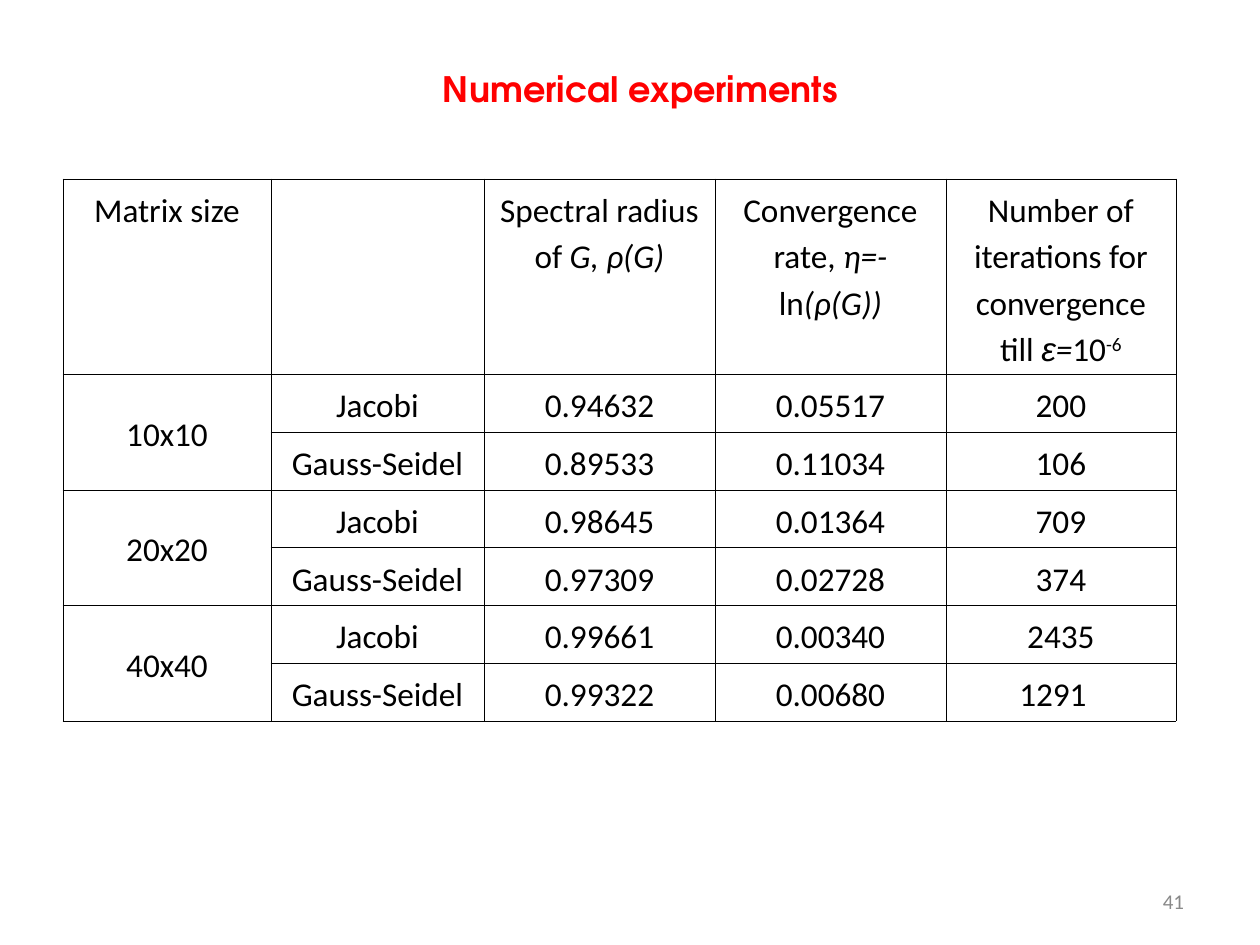
import pptx
import pptx.dml.color
import pptx.enum.text
import pptx.oxml
import pptx.oxml.ns
import pptx.util

PX = 914400 / 126
ALIGN = pptx.enum.text.PP_ALIGN
ANCHOR = pptx.enum.text.MSO_ANCHOR
BODY = {"size": pptx.util.Pt(19), "name": "Calibri"}
ITALIC = {"italic": True}
COLUMNS = [208, 213, 231, 231, 230]
HEADER_HEIGHT, ROW_HEIGHT = 184, 45
HEADINGS = [
    [("Matrix size", {})],
    [],
    [("Spectral radius of ", {}), ("G, ρ(G)", ITALIC)],
    [("Convergence rate, ", {}), ("η=-", ITALIC), ("ln", {}), ("(ρ(G))", ITALIC)],
    [("Number of iterations for convergence till ", {}),
     ("ε", {"italic": True, "name": "Arial"}), ("=", ITALIC), ("10", {}),
     ("-6", {"baseline": 30000})],
]
EXPERIMENTS = {
    "10x10": [("Jacobi", "0.94632", "0.05517", "200"),
              ("Gauss-Seidel", "0.89533", "0.11034", "106")],
    "20x20": [("Jacobi", "0.98645", "0.01364", "709"),
              ("Gauss-Seidel", "0.97309", "0.02728", "374")],
    "40x40": [("Jacobi", "0.99661", "0.00340", "2435"),
              ("Gauss-Seidel", "0.99322", "0.00680", "1291")],
}


def px(length):
    return pptx.util.Emu(round(length * PX))


def rgb(value):
    return pptx.dml.color.RGBColor.from_string(value)


def set_all(target, values):
    for key, value in values.items():
        setattr(target, key, value)


def set_margins(target, horizontal, vertical):
    set_all(target, {"margin_left": px(horizontal), "margin_right": px(horizontal),
                     "margin_top": px(vertical), "margin_bottom": px(vertical)})


def add_run(paragraph, words, values, color="000000"):
    run = paragraph.add_run()
    run.text = words
    run.font.color.rgb = rgb(color)
    values = dict(values)
    baseline = values.pop("baseline", None)
    set_all(run.font, values)
    if baseline:
        run.font._element.set("baseline", str(baseline))


def add_line(slide, box, words, values, color, align, anchor, margins):
    frame = slide.shapes.add_textbox(*map(px, box)).text_frame
    set_all(frame, {"word_wrap": True, "vertical_anchor": anchor})
    set_margins(frame, *margins)
    frame.paragraphs[0].alignment = align
    add_run(frame.paragraphs[0], words, values, color)


def add_title(slide, box):
    font = {"size": pptx.util.Pt(20), "name": "TeX Gyre Adventor", "bold": True}
    add_line(slide, box, "Numerical experiments", font, "FF0000",
             ALIGN.CENTER, ANCHOR.TOP, (0, 0))


def add_page_number(slide, box):
    font = {"size": pptx.util.Pt(12), "name": "Calibri"}
    add_line(slide, box, "41", font, "898989", ALIGN.RIGHT, ANCHOR.MIDDLE, (13, 6))


def style_cell(cell):
    properties = cell._tc.get_or_add_tcPr()
    for side in ("lnL", "lnR", "lnT", "lnB"):
        properties.append(pptx.oxml.parse_xml(
            f'<a:{side} {pptx.oxml.ns.nsdecls("a")} w="{pptx.util.Pt(0.45)}">'
            '<a:solidFill><a:srgbClr val="000000"/></a:solidFill>'
            f'</a:{side}>'))
    cell.fill.background()
    set_margins(cell, 10, 6)
    set_all(cell.text_frame.paragraphs[0], {
        "alignment": ALIGN.CENTER, "line_spacing": 1.15,
        "space_after": pptx.util.Pt(10)})


def write_cell(cell, runs):
    for words, values in runs:
        add_run(cell.text_frame.paragraphs[0], words, {**BODY, **values})


def add_results(slide, left, top):
    heights = [HEADER_HEIGHT] + [ROW_HEIGHT] * sum(map(len, EXPERIMENTS.values()))
    table = slide.shapes.add_table(
        len(heights), len(COLUMNS), px(left), px(top),
        px(sum(COLUMNS)), px(sum(heights))).table
    set_all(table, {"first_row": False, "horz_banding": False})
    for column, width in zip(table.columns, COLUMNS):
        column.width = px(width)
    for row, height in zip(table.rows, heights):
        row.height = px(height)
    for cell in table.iter_cells():
        style_cell(cell)
    for column, runs in enumerate(HEADINGS):
        write_cell(table.cell(0, column), runs)
    row = 1
    for size, methods in EXPERIMENTS.items():
        size_cell = table.cell(row, 0)
        size_cell.merge(table.cell(row + len(methods) - 1, 0))
        size_cell.vertical_anchor = ANCHOR.MIDDLE
        write_cell(size_cell, [(size, {})])
        for values in methods:
            for column, value in enumerate(values, 1):
                write_cell(table.cell(row, column), [(value, {})])
            row += 1
    table.cell(row - 1, len(COLUMNS) - 1).margin_right = px(26)


def main():
    deck = pptx.Presentation()
    set_all(deck, {"slide_width": px(1260), "slide_height": px(945)})
    slide = deck.slides.add_slide(deck.slide_layouts[6])
    add_title(slide, (21, 67, 1239, 122))
    add_page_number(slide, (903, 876, 294, 50))
    add_results(slide, 63, 179)
    deck.save("out.pptx")


if __name__ == "__main__":
    main()
